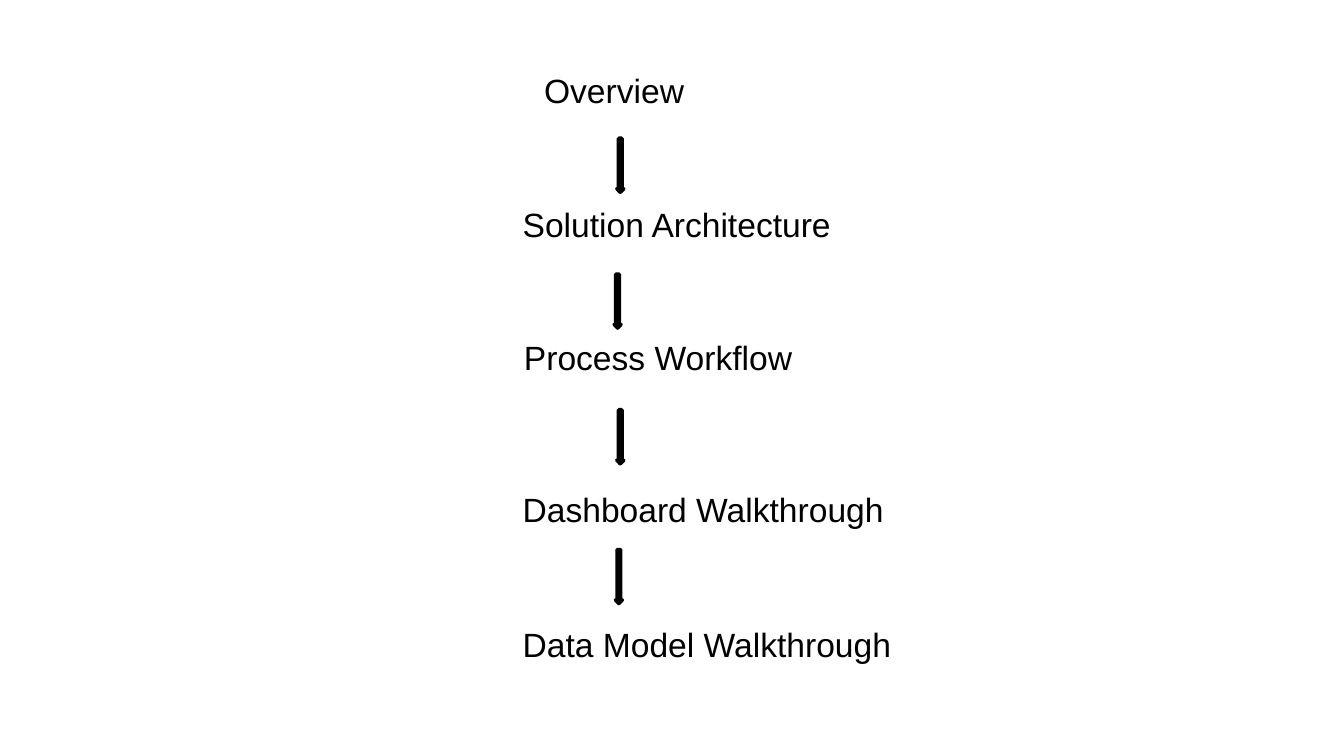
import pptx
import pptx.util
import pptx.dml.color
import pptx.enum.shapes
import pptx.enum.text

Inches = pptx.util.Inches
COLORS = {"background": "FFFFFF", "text": "000000", "arrow": "4285F4", "outline": "000000"}


def rgb(name):
    return pptx.dml.color.RGBColor.from_string(COLORS[name])


def add_text(slide, text, *, left, top, width, height=0.4, size=18, font="Arial", color="text"):
    box = slide.shapes.add_textbox(Inches(left), Inches(top), Inches(width), Inches(height))
    frame = box.text_frame
    frame.word_wrap = True
    frame.auto_size = pptx.enum.text.MSO_AUTO_SIZE.SHAPE_TO_FIT_TEXT
    run = frame.paragraphs[0].add_run()
    run.text = text
    run.font.name = font
    run.font.size = pptx.util.Pt(size)
    run.font.color.rgb = rgb(color)


deck = pptx.Presentation()
deck.slide_width = Inches(10)
deck.slide_height = deck.slide_width * 9 // 16
agenda = deck.slides.add_slide(deck.slide_layouts[6])
agenda.background.fill.solid()
agenda.background.fill.fore_color.rgb = rgb("background")

topics = [
    ("Overview", 3.95, 0.47, 1.55),
    ("Solution Architecture", 3.79, 1.47, 3.11),
    ("Process Workflow", 3.8, 2.46, 2.69),
    ("Dashboard Walkthrough", 3.79, 3.59, 3.65),
    ("Data Model Walkthrough", 3.79, 4.59, 3.65),
]
for topic, left, top, width in topics:
    add_text(agenda, topic, left=left, top=top, width=width)

step_positions = [(4.59, 1.03), (4.57, 2.04), (4.59, 3.05), (4.58, 4.09)]
for left, top in step_positions:
    step = agenda.shapes.add_shape(
        pptx.enum.shapes.MSO_SHAPE.DOWN_ARROW,
        Inches(left), Inches(top), Inches(0.05), Inches(0.4),
    )
    step.shadow.inherit = False
    step.fill.solid()
    step.fill.fore_color.rgb = rgb("arrow")
    step.line.color.rgb = rgb("outline")
    step.line.width = pptx.util.Pt(2)

deck.save("out.pptx")
